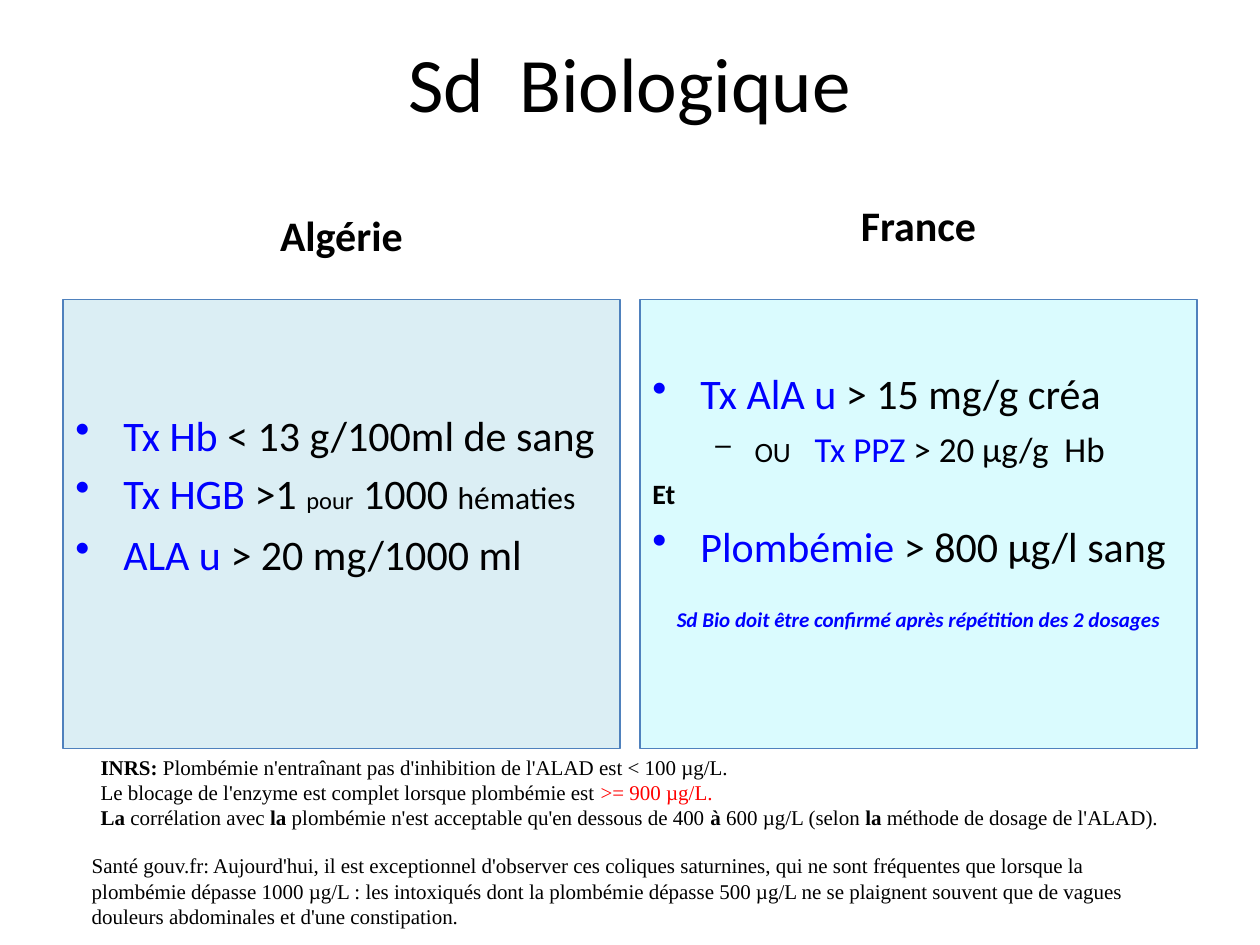
from lxml.etree import SubElement
from pptx import Presentation
from pptx.dml.color import RGBColor
from pptx.enum.shapes import MSO_SHAPE
from pptx.enum.text import MSO_ANCHOR, PP_ALIGN
from pptx.oxml.ns import qn
from pptx.util import Inches, Pt

WIDTH, HEIGHT = 10, 7.5
MARGIN, GAP = 0.5, 0.16
COLUMN = (WIDTH - 2 * MARGIN - GAP) / 2
PANEL_TOP, PANEL_HEIGHT = 2.38, 3.56
BLACK, BLUE, RED, BORDER = "000000", "0000FF", "FF0000", "4F81BD"
SANS, SERIF = "Calibri", "Times New Roman"


def color(value):
    return RGBColor.from_string(value)


def add_run(paragraph, text, size, font=SANS, fill=BLACK, bold=False, italic=False):
    run = paragraph.add_run()
    run.text = text
    run.font.name, run.font.size = font, Pt(size)
    run.font.bold, run.font.italic = bold, italic
    run.font.color.rgb = color(fill)


def set_indent(paragraph, left, hanging, bullet=None, bullet_color=BLUE):
    properties = paragraph._p.get_or_add_pPr()
    properties.set("marL", str(Inches(left)))
    properties.set("indent", str(-Inches(hanging)))
    if bullet:
        tint = SubElement(properties, qn("a:buClr"))
        SubElement(tint, qn("a:srgbClr"), val=bullet_color)
        SubElement(properties, qn("a:buChar"), char=bullet)
    else:
        SubElement(properties, qn("a:buNone"))


def paragraphs_of(frame, count):
    """Return the frame's first paragraph and as many more as needed."""
    return [frame.paragraphs[0]] + [frame.add_paragraph() for _ in range(count - 1)]


def add_text_box(slide, box, anchor=MSO_ANCHOR.TOP):
    frame = slide.shapes.add_textbox(*map(Inches, box)).text_frame
    frame.word_wrap = True
    frame.vertical_anchor = anchor
    return frame


def add_heading(slide, box, text, size, anchor, bold=False):
    paragraph = add_text_box(slide, box, anchor).paragraphs[0]
    paragraph.alignment = PP_ALIGN.CENTER
    add_run(paragraph, text, size, bold=bold)


def add_panel(slide, box, fill, top_inset, items):
    """Draw a criteria panel; each item is (kind, space before, runs)."""
    shape = slide.shapes.add_shape(MSO_SHAPE.RECTANGLE, *map(Inches, box))
    shape.shadow.inherit = False
    shape.fill.solid()
    shape.fill.fore_color.rgb = color(fill)
    shape.line.color.rgb = color(BORDER)
    shape.line.width = Pt(0.75)
    frame = shape.text_frame
    frame.word_wrap = True
    frame.vertical_anchor = MSO_ANCHOR.TOP
    frame.margin_top = Inches(top_inset)
    for paragraph, (kind, space, runs) in zip(paragraphs_of(frame, len(items)), items):
        paragraph.alignment = PP_ALIGN.CENTER if kind == "note" else PP_ALIGN.LEFT
        paragraph.space_before = Pt(space)
        if kind == "sub":
            paragraph.level = 1
            set_indent(paragraph, 0.81, 0.31, "–", BLACK)
        else:
            set_indent(paragraph, 0.38, 0.38, "•" if kind == "bullet" else None)
        for text, size, style in runs:
            add_run(paragraph, text, size, **style)


def add_footnote(slide, box, lines):
    frame = add_text_box(slide, box)
    for paragraph, runs in zip(paragraphs_of(frame, len(lines)), lines):
        for text, style in runs:
            add_run(paragraph, text, 12, SERIF, **style)


def main():
    presentation = Presentation()
    presentation.slide_width, presentation.slide_height = Inches(WIDTH), Inches(HEIGHT)
    slide = presentation.slides.add_slide(presentation.slide_layouts[6])
    left, right = MARGIN, MARGIN + COLUMN + GAP
    plain, blue, bold, red = {}, {"fill": BLUE}, {"bold": True}, {"fill": RED}

    # Title and column headings
    add_heading(slide, (MARGIN, 0.33, WIDTH - 2 * MARGIN, 0.64),
                "Sd  Biologique", 44, MSO_ANCHOR.MIDDLE)
    for x, y, country in ((left, 1.41, "Algérie"), (right, 1.33, "France")):
        add_heading(slide, (x, y, COLUMN, 0.7), country, 24, MSO_ANCHOR.BOTTOM, True)

    # Criteria panels
    add_panel(slide, (left, PANEL_TOP, COLUMN, PANEL_HEIGHT), "DBEEF4", 0.87, [
        ("bullet", 0, [("Tx Hb ", 24, blue), ("< 13 g/100ml de sang", 24, plain)]),
        ("bullet", 4.5, [("Tx HGB ", 24, blue), (">1 ", 24, plain), ("pour", 14, plain),
                         (" 1000 ", 24, plain), ("hématies", 18, plain)]),
        ("bullet", 6, [("ALA u ", 24, blue), ("> 20 mg/1000 ml", 24, plain)]),
    ])
    add_panel(slide, (right, PANEL_TOP, COLUMN, PANEL_HEIGHT), "DAFBFE", 0.54, [
        ("bullet", 0, [("Tx AlA u ", 24, blue), ("> 15 mg/g créa", 24, plain)]),
        ("sub", 5, [("OU", 16, plain), ("   ", 20, plain), ("Tx PPZ ", 20, blue),
                    ("> 20 µg/g  Hb", 20, plain)]),
        ("plain", 4, [("Et", 16, bold)]),
        ("bullet", 6, [("Plombémie", 24, blue), (" > 800 µg/l sang", 24, plain)]),
        ("note", 20.65, [("Sd Bio doit être confirmé après répétition des 2 dosages", 12,
                          {"fill": BLUE, "bold": True, "italic": True})]),
    ])

    # Source notes
    add_footnote(slide, (0.7, PANEL_TOP + PANEL_HEIGHT, 8.67, 0.7), [
        [("INRS: ", bold),
         ("Plombémie n'entraînant pas d'inhibition de l'ALAD est < 100 µg/L.", plain)],
        [("Le blocage de l'enzyme est complet lorsque plombémie est ", plain),
         (">= 900 µg/L.", red)],
        [("La", bold), (" corrélation avec ", plain), ("la", bold),
         (" plombémie n'est acceptable qu'en dessous de 400 ", plain), ("à", bold),
         (" 600 µg/L (selon ", plain), ("la", bold),
         (" méthode de dosage de l'ALAD).", plain)],
    ])
    add_footnote(slide, (0.63, 6.72, 8.67, 0.7), [
        [("Santé gouv.fr: Aujourd'hui, il est exceptionnel d'observer ces coliques "
          "saturnines, qui ne sont fréquentes que lorsque la plombémie dépasse 1000 µg/L : "
          "les intoxiqués dont la plombémie dépasse 500 µg/L ne se plaignent souvent que de "
          "vagues douleurs abdominales et d'une constipation.", plain)],
    ])
    presentation.save("out.pptx")


if __name__ == "__main__":
    main()
